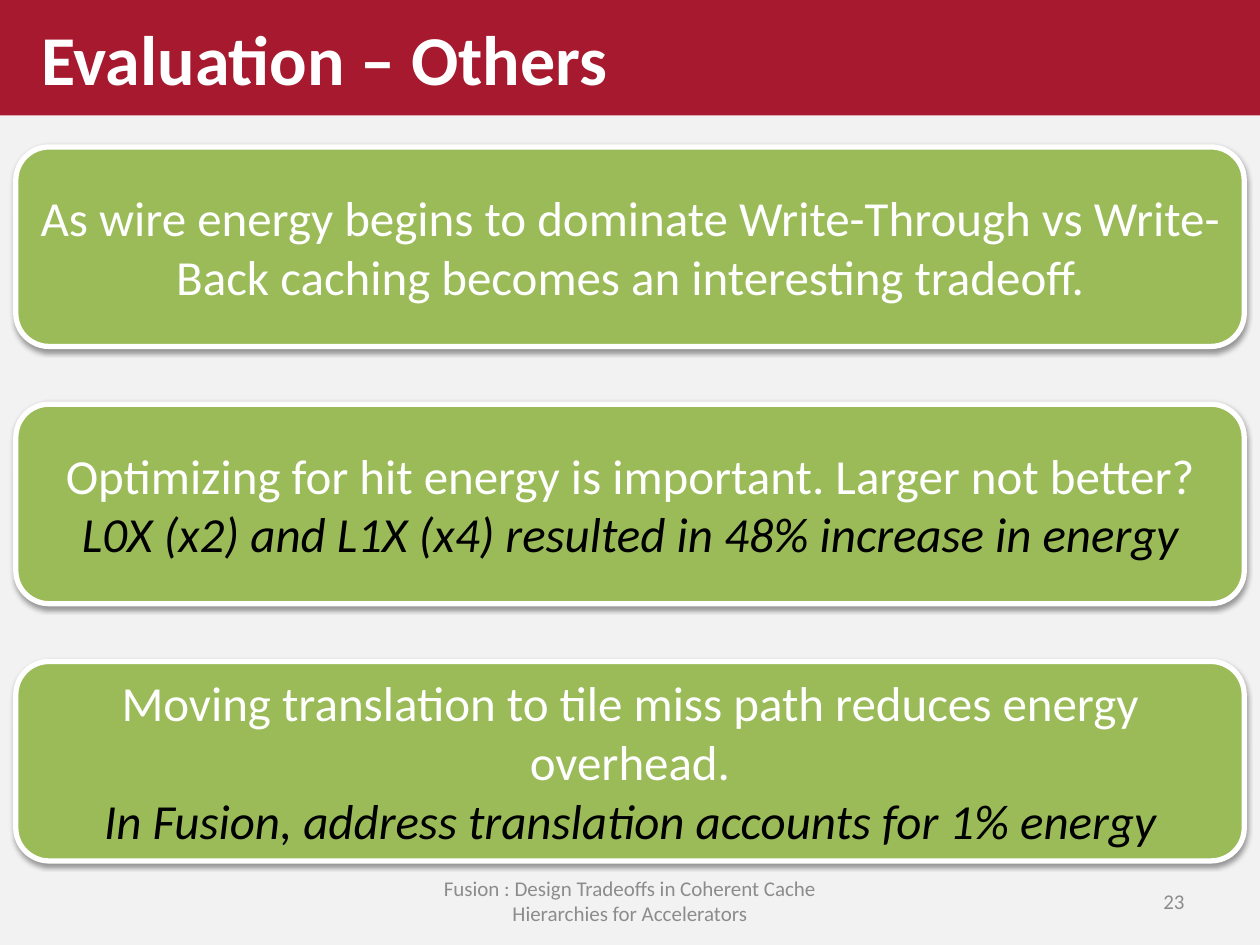
import pptx
import pptx.dml.color
import pptx.enum.shapes
import pptx.enum.text
import pptx.oxml
import pptx.oxml.ns
import pptx.util

ALIGN = pptx.enum.text.PP_ALIGN
SHAPE = pptx.enum.shapes.MSO_SHAPE
SHADOW = (
    '<a:outerShdw %s blurRad="40000" dist="20000" dir="5400000" rotWithShape="0">'
    '<a:srgbClr val="000000"><a:alpha val="38000"/></a:srgbClr></a:outerShdw>'
    % pptx.oxml.ns.nsdecls("a")
)


def color(value):
    """Turn a hex string into a colour."""
    return pptx.dml.color.RGBColor.from_string(value)


class Painter:
    """Hold the style and the current page, on a grid of 120 columns by 90 rows."""

    font = "Calibri"
    white, black, gray = "FFFFFF", "000000", "8C8C8C"
    red, green, paper = "A6192E", "9BBB59", "F2F2F2"

    def __init__(self, deck):
        """Add a blank page with the paper colour."""
        self.column = deck.slide_width / 120
        self.row = deck.slide_height / 90
        self.page = deck.slides.add_slide(deck.slide_layouts[6])
        fill = self.page.background.fill
        fill.solid()
        fill.fore_color.rgb = color(self.paper)

    def place(self, left, top, width, height):
        """Convert grid units to slide lengths."""
        units = (self.column, self.row) * 2
        return [round(n * unit) for n, unit in zip((left, top, width, height), units)]

    def add_lines(self, box, lines, size, align, bold=False):
        """Fill a box with one paragraph per (text, colour, italic) line."""
        frame = box.text_frame
        frame.word_wrap = True
        frame.vertical_anchor = pptx.enum.text.MSO_ANCHOR.MIDDLE
        for index, (text, ink, italic) in enumerate(lines):
            para = frame.add_paragraph() if index else frame.paragraphs[0]
            para.alignment = align
            span = para.add_run()
            span.text = text
            span.font.name = self.font
            span.font.size = pptx.util.Pt(size)
            span.font.bold = bold
            span.font.italic = italic
            span.font.color.rgb = color(ink)

    def shape(self, kind, area, fill):
        """Add a filled shape without line or shadow."""
        box = self.page.shapes.add_shape(kind, *self.place(*area))
        box.shadow.inherit = False
        box.fill.solid()
        box.fill.fore_color.rgb = color(fill)
        box.line.fill.background()
        return box

    def title(self, text):
        """Add the title band across the top."""
        box = self.shape(SHAPE.RECTANGLE, (0, 0, 120, 11), self.red)
        box.text_frame.margin_left = pptx.util.Inches(0.33)
        self.add_lines(box, [(text, self.white, False)], 40, ALIGN.LEFT, bold=True)

    def card(self, top, statement, finding=None):
        """Add a rounded card with a statement and an optional finding."""
        box = self.shape(SHAPE.ROUNDED_RECTANGLE, (1.5, top, 117, 19), self.green)
        box.line.color.rgb = color(self.white)
        box.line.width = pptx.util.Pt(3)
        effects = box._element.spPr.find(pptx.oxml.ns.qn("a:effectLst"))
        effects.append(pptx.oxml.parse_xml(SHADOW))
        lines = [(statement, self.white, False)]
        if finding:
            lines.append((finding, self.black, True))
        self.add_lines(box, lines, 28, ALIGN.CENTER)

    def footer(self, left, width, text, align):
        """Add a small gray text in the footer row."""
        box = self.page.shapes.add_textbox(*self.place(left, 83.4, width, 4.8))
        self.add_lines(box, [(text, self.gray, False)], 12, align)


def main():
    """Build the deck and save it."""
    deck = pptx.Presentation()
    deck.slide_width = pptx.util.Inches(10)
    deck.slide_height = pptx.util.Inches(7.5)
    painter = Painter(deck)
    painter.footer(
        41, 38,
        "Fusion : Design Tradeoffs in Coherent Cache Hierarchies for Accelerators",
        ALIGN.CENTER,
    )
    painter.footer(86, 28, "23", ALIGN.RIGHT)
    painter.title("Evaluation – Others")
    cards = [
        ("As wire energy begins to dominate Write-Through vs Write-Back "
         "caching becomes an interesting tradeoff.",),
        ("Optimizing for hit energy is important. Larger not better?",
         "L0X (x2) and L1X (x4) resulted in 48% increase in energy"),
        ("Moving translation to tile miss path reduces energy overhead.",
         "In Fusion, address translation accounts for 1% energy"),
    ]
    for index, texts in enumerate(cards):
        painter.card(14 + 24.5 * index, *texts)
    deck.save("out.pptx")


if __name__ == "__main__":
    main()
